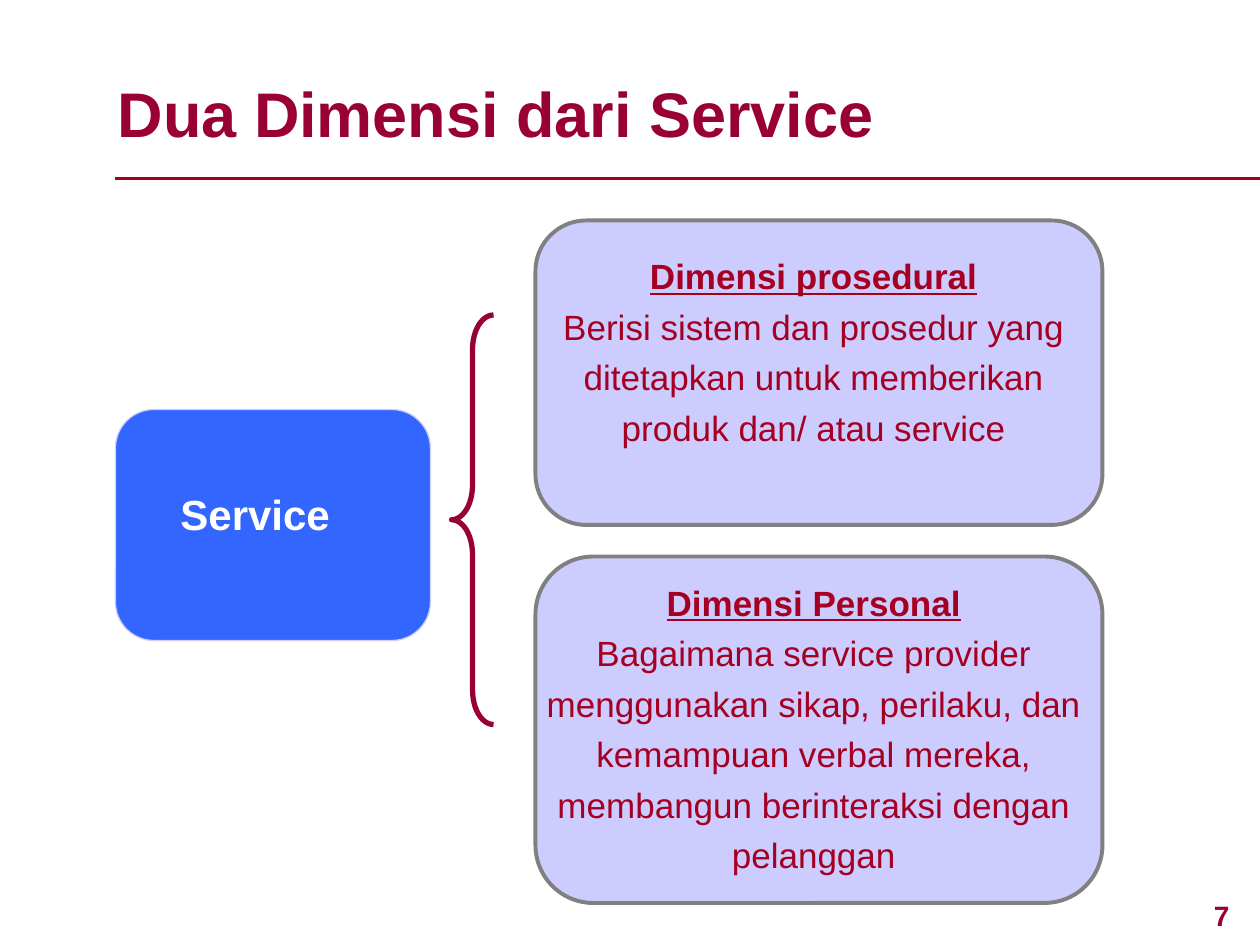
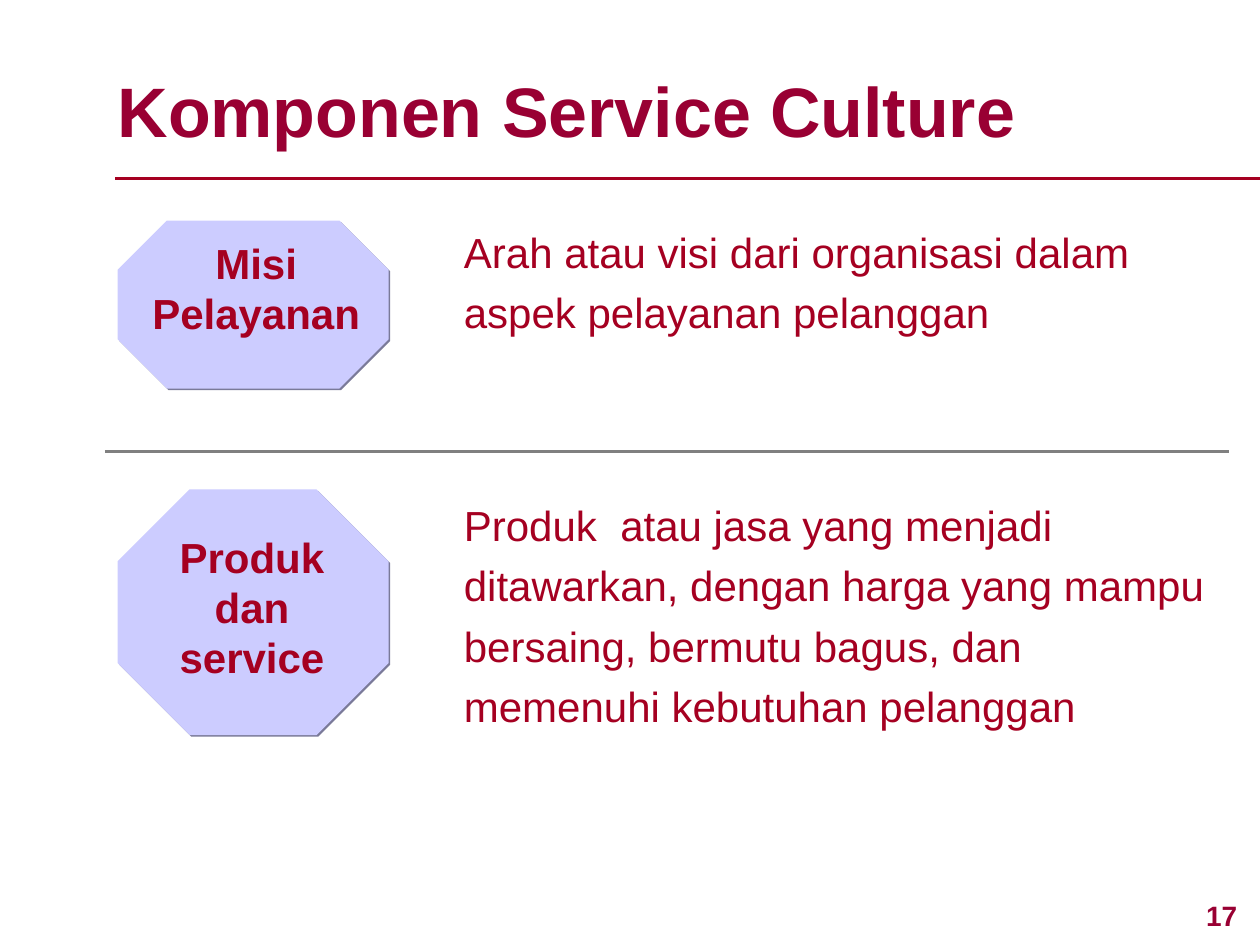
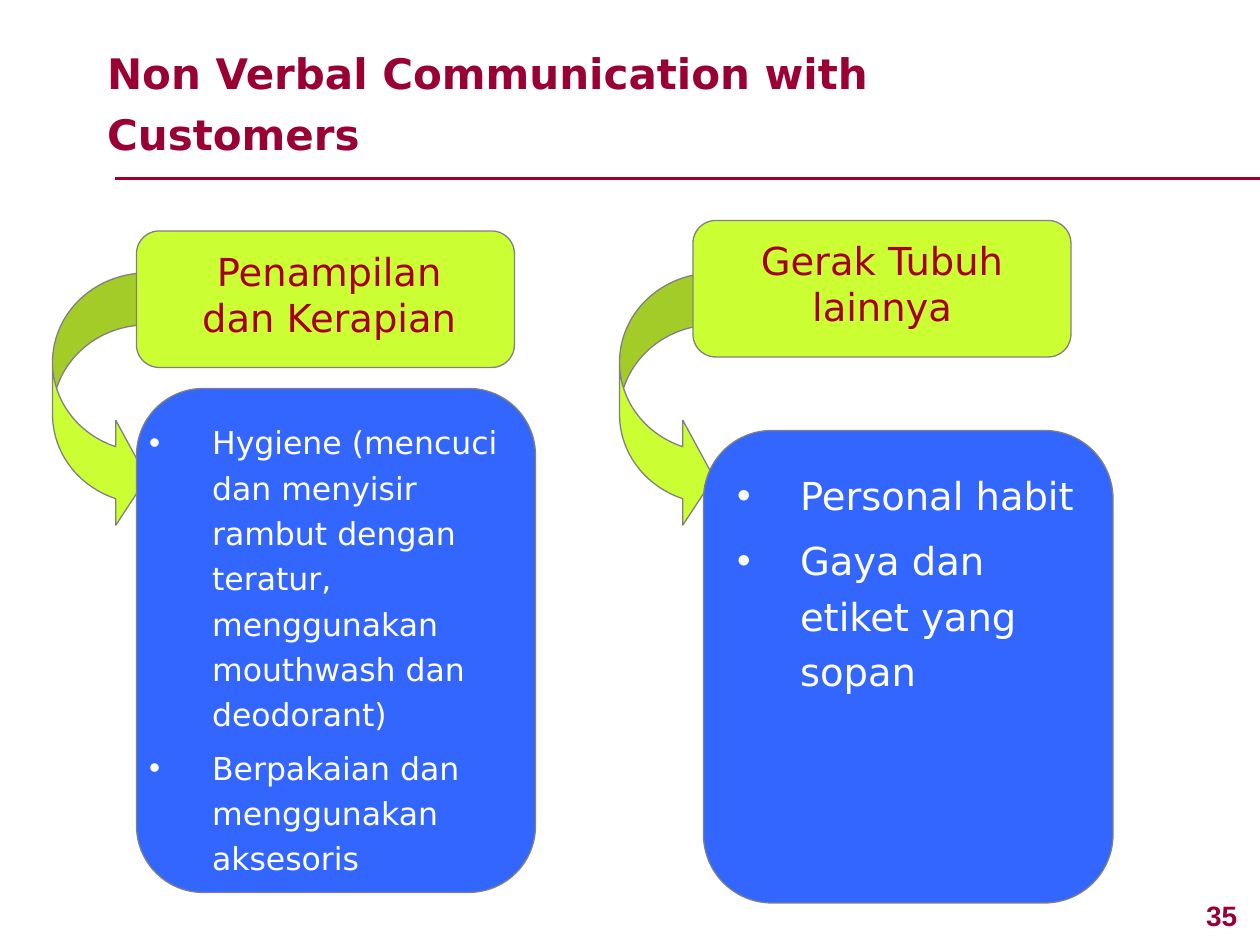
"""Build three slides on service on a grid of 120 columns by 90 rows."""
from typing import NamedTuple

from lxml import etree
from pptx import Presentation
from pptx import util as u
from pptx.dml.color import RGBColor
from pptx.enum import shapes, text
from pptx.oxml.ns import qn

WINE = RGBColor(0x99, 0x00, 0x33)
RED = RGBColor(0xA5, 0x00, 0x21)
LILAC = RGBColor(0xCC, 0xCC, 0xFF)
BLUE = RGBColor(0x33, 0x66, 0xFF)
LIME = RGBColor(0xCC, 0xFF, 0x33)
GREY = RGBColor(0x80, 0x80, 0x80)
SHADE = RGBColor(0x7A, 0x7A, 0x99)
WHITE = RGBColor(0xFF, 0xFF, 0xFF)

WIDE, HIGH = u.Inches(10), u.Inches(7.5)
CELL = WIDE // 120
SANS, DEJA = "Arial", "DejaVu Sans"
MID = text.PP_ALIGN.CENTER
LEFT = text.PP_ALIGN.LEFT
KIND = shapes.MSO_SHAPE
ROUND = (0.167,)


class Box(NamedTuple):
    col: float
    row: float
    cols: float
    rows: float

    def size(self) -> list:
        return [round(n * CELL) for n in self]


class Panel(NamedTuple):
    box: Box
    area: Box
    lines: list


class Topic(NamedTuple):
    label: Panel
    body: Panel
    arrow: Box
    size: int
    gap: float


def put(item, box: Box):
    """Move a shape to its grid box and to the front."""
    item.left, item.top, item.width, item.height = box.size()
    item.element.getparent().append(item.element)
    return item


def dot(para, color: RGBColor) -> None:
    """Give a paragraph a hanging round bullet."""
    props = para._p.get_or_add_pPr()
    props.set("marL", str(u.Inches(0.5)))
    props.set("indent", str(-u.Inches(0.5)))
    tint = etree.SubElement(props, qn("a:buClr"))
    etree.SubElement(tint, qn("a:srgbClr"), val=str(color))
    etree.SubElement(props, qn("a:buFont"), typeface=SANS)
    etree.SubElement(props, qn("a:buChar"), char="•")


def write(item, lines: list, *, size: float, color: RGBColor = RED,
          face: str = SANS, bold: bool = False, align=LEFT, lead: float = 1.0,
          gap: float = 0, head: bool = False, list_: bool = False) -> None:
    """Fill a shape with formatted paragraphs."""
    frame = item.text_frame
    frame.word_wrap = True
    frame.auto_size = text.MSO_AUTO_SIZE.NONE
    frame.vertical_anchor = text.MSO_ANCHOR.TOP
    for n, line in enumerate(lines):
        para = frame.add_paragraph() if n else frame.paragraphs[0]
        para.alignment, para.line_spacing = align, lead
        para.space_before = u.Pt(gap if n else 0)
        if list_:
            dot(para, color)
        run = para.add_run()
        run.text = line
        font = run.font
        font.name, font.size, font.color.rgb = face, u.Pt(size), color
        font.bold = bold or (head and n == 0)
        font.underline = head and n == 0


def note(slide, box: Box, lines: list, **form) -> None:
    """Add a text box."""
    write(slide.shapes.add_textbox(*box.size()), lines, **form)


def draw(slide, kind, box: Box, *, fill=None, line=None, width: float = 0.75,
         adjust: tuple = (), shade=None) -> None:
    """Add a preset shape."""
    item = slide.shapes.add_shape(kind, *box.size())
    item.shadow.inherit = False
    for n, share in enumerate(adjust):
        item.adjustments[n] = share
    if fill is None:
        item.fill.background()
    else:
        item.fill.solid()
        item.fill.fore_color.rgb = fill
    if line is None:
        item.line.fill.background()
    else:
        item.line.color.rgb, item.line.width = line, u.Pt(width)
    if shade is not None:
        cast = etree.SubElement(
            item.element.spPr.find(qn("a:effectLst")), qn("a:outerShdw"),
            dist=str(u.Pt(1.4)), dir="2700000", algn="ctr", rotWithShape="0")
        etree.SubElement(cast, qn("a:srgbClr"), val=str(shade))


def rule(slide, start: float, end: float, row: float, color: RGBColor) -> None:
    """Add a level line."""
    top = round(row * CELL)
    line = slide.shapes.add_connector(
        shapes.MSO_CONNECTOR.STRAIGHT, round(start * CELL), top, round(end * CELL), top)
    line.line.color.rgb, line.line.width = color, u.Pt(2.25)
    etree.SubElement(line.element.spPr, qn("a:effectLst"))


def begin(deck, layout: int, page: int, title: str, box: Box, **form):
    """Start a slide with its title, rule and page number."""
    slide = deck.slides.add_slide(deck.slide_layouts[layout])
    write(put(slide.shapes.title, box), [title], color=WINE, bold=True, **form)
    rule(slide, 11, 120, 17, RED)
    note(slide, Box(112.7, 85, 7.3, 4.4), [str(page)],
         size=16, color=WINE, bold=True, align=MID)
    return slide


def facets(deck) -> None:
    """Show the two dimensions of service."""
    slide = begin(deck, 5, 7, "Dua Dimensi dari Service", Box(10, 6.5, 100, 8.4), size=36)
    panels = [
        Panel(Box(51, 21, 54, 29), Box(51, 22.9, 53, 20.4), [
            "Dimensi prosedural",
            "Berisi sistem dan prosedur yang ditetapkan untuk memberikan "
            "produk dan/ atau service"]),
        Panel(Box(51, 53, 54, 33), Box(49, 54, 57, 30), [
            "Dimensi Personal",
            "Bagaimana service provider menggunakan sikap, perilaku, dan kemampuan "
            "verbal mereka, membangun berinteraksi dengan pelanggan"]),
    ]
    for box, area, lines in panels:
        draw(slide, KIND.ROUNDED_RECTANGLE, box, fill=LILAC, line=GREY,
             width=2.25, adjust=ROUND)
        note(slide, area, lines, size=20, align=MID, lead=1.2, head=True)
    draw(slide, KIND.ROUNDED_RECTANGLE, Box(11, 39, 30, 22), fill=BLUE, line=LILAC,
         adjust=ROUND)
    note(slide, Box(16, 45, 33, 7), ["Service"], size=24, color=WHITE, bold=True, lead=1.2)
    draw(slide, KIND.LEFT_BRACE, Box(43, 30, 4, 39), line=WINE, width=3,
         adjust=(0.82, 0.5))


def parts(deck) -> None:
    """Show the parts of a service culture."""
    slide = begin(deck, 5, 17, "Komponen Service Culture", Box(10, 5.8, 100, 9.2), size=40)
    rows = [
        (Panel(Box(11.2, 21, 25.8, 16), Box(12.8, 22, 23.2, 10.8), ["Misi", "Pelayanan"]),
         Box(43, 20, 76, 12.7), "Arah atau visi dari organisasi dalam aspek pelayanan pelanggan"),
        (Panel(Box(11.2, 46.6, 25.8, 23.4), Box(12, 50, 24, 15.6), ["Produk dan service"]),
         Box(43, 46, 74.2, 24.2),
         "Produk  atau jasa yang menjadi ditawarkan, dengan harga yang mampu "
         "bersaing, bermutu bagus, dan memenuhi kebutuhan pelanggan"),
    ]
    for (box, area, label), place, words in rows:
        draw(slide, KIND.OCTAGON, box, fill=LILAC, adjust=(0.293,), shade=SHADE)
        note(slide, area, label, size=24, bold=True, align=MID)
        note(slide, place, [words], size=24, lead=1.2)
    rule(slide, 10, 117, 43, GREY)


def signals(deck) -> None:
    """Show non verbal communication in two topics."""
    slide = begin(deck, 3, 35, "Non Verbal Communication with Customers",
                  Box(9, 3, 81, 12.7), size=24, face=DEJA, lead=1.2)
    topics = [
        Topic(Panel(Box(13, 22, 36, 13), Box(16, 23, 30.7, 10), ["Penampilan dan Kerapian"]),
              Panel(Box(13, 37, 38, 48), Box(13, 39, 37, 45), [
                  "Hygiene (mencuci dan menyisir rambut dengan teratur, "
                  "menggunakan mouthwash dan deodorant)",
                  "Berpakaian dan menggunakan aksesoris"]),
              Box(5, 26, 9, 24.5), 18, 4.5),
        Topic(Panel(Box(66, 21, 36, 13), Box(67, 22, 34, 10), ["Gerak Tubuh lainnya"]),
              Panel(Box(67, 41, 39, 45), Box(69, 43.5, 35, 23.3), [
                  "Personal habit", "Gaya dan etiket yang sopan"]),
              Box(59, 26, 9, 24.5), 22, 5.5),
    ]
    for slot, (label, body, arrow, size, gap) in enumerate(topics, 1):
        draw(slide, KIND.CURVED_RIGHT_ARROW, arrow, fill=LIME, line=GREY,
             adjust=(0.55, 1.11, 0.33))
        for panel, fill in ((label, LIME), (body, BLUE)):
            draw(slide, KIND.ROUNDED_RECTANGLE, panel.box, fill=fill, line=GREY, adjust=ROUND)
        note(slide, label.area, label.lines, size=22, face=DEJA, align=MID)
        write(put(slide.placeholders[slot], body.area), body.lines, size=size,
              color=WHITE, face=DEJA, lead=1.2, gap=gap, list_=True)


def main() -> None:
    """Build and save the deck."""
    deck = Presentation()
    deck.slide_width, deck.slide_height = WIDE, HIGH
    for build in (facets, parts, signals):
        build(deck)
    deck.save("out.pptx")


if __name__ == "__main__":
    main()
